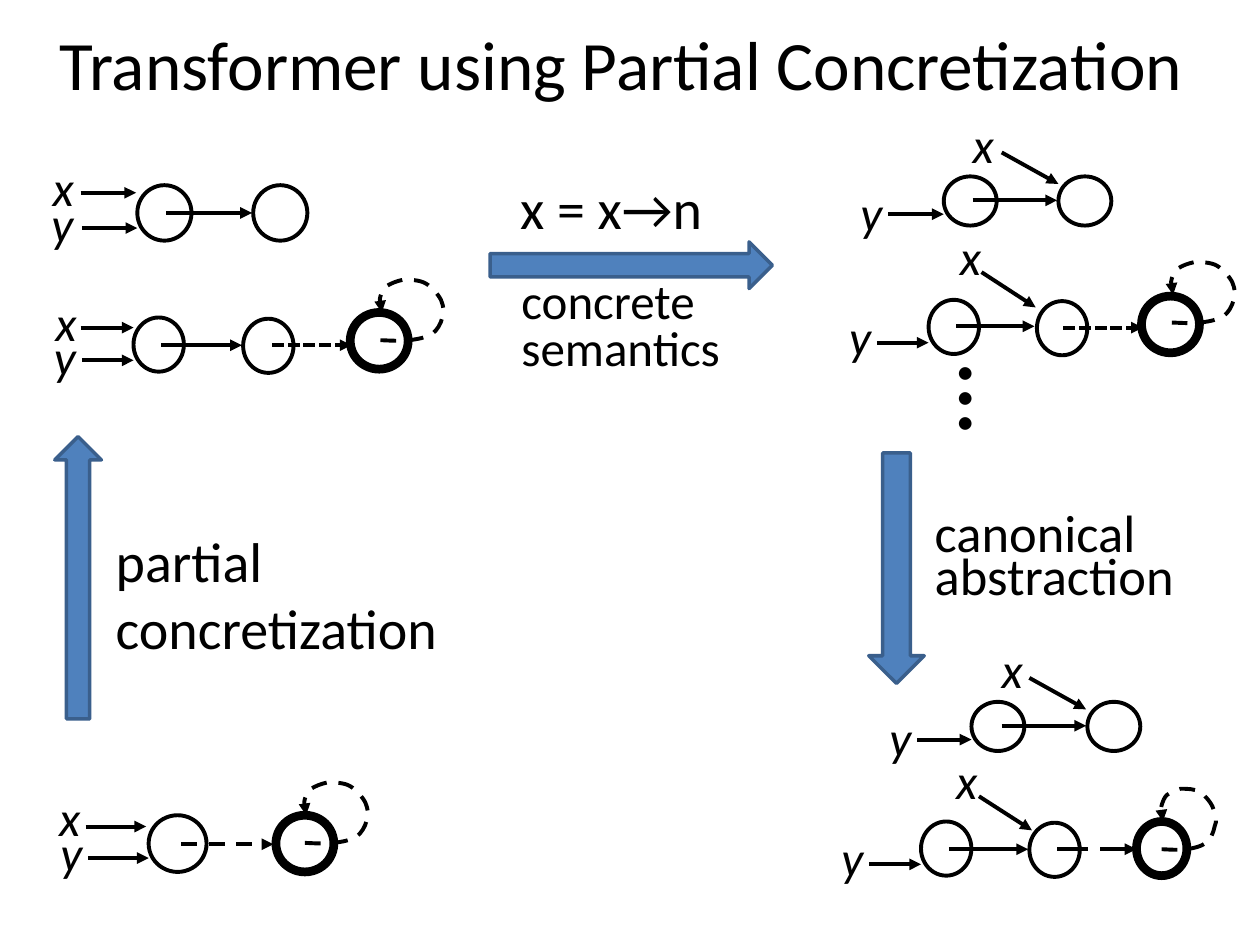
from lxml import etree
from pptx import Presentation
from pptx.dml.color import RGBColor
from pptx.enum.dml import MSO_LINE
from pptx.enum.shapes import MSO_CONNECTOR, MSO_SHAPE
from pptx.enum.text import MSO_ANCHOR, MSO_AUTO_SIZE, PP_ALIGN
from pptx.oxml.ns import qn
from pptx.util import Pt

PX = 9144  # EMU in one px, 100 px to the inch
TITLE_ONLY = 5
STRAIGHT = MSO_CONNECTOR.STRAIGHT
OVAL, BLOCK_ARROW = MSO_SHAPE.OVAL, MSO_SHAPE.RIGHT_ARROW
DASH, LONG_DASH, SHORT_DASH = MSO_LINE.DASH, MSO_LINE.LONG_DASH, MSO_LINE.SQUARE_DOT
GROW = MSO_AUTO_SIZE.SHAPE_TO_FIT_TEXT

THEME = {
    "font": "Calibri",
    "ink": RGBColor(0, 0, 0),
    "arrow_fill": RGBColor(0x4F, 0x81, 0xBD),
    "arrow_line": RGBColor(0x3A, 0x5F, 0x8C),
    "title": 39.6, "label": 32, "abstraction": 30, "small": 28, "dots": 60,
    "thin": 2.25, "thick": 5, "block": 2,
}


def style_line(shape, color=THEME["ink"], width=THEME["thin"], dash=None, arrow=False):
    """Format an outline, with a triangle at its end if arrow is set."""
    line = shape.line
    line.color.rgb = color
    line.width = Pt(width)
    if dash is not None:
        line.dash_style = dash
    if arrow:
        etree.SubElement(line._get_or_add_ln(), qn("a:tailEnd"), type="triangle")


def write_text(shape, lines, size, frame_format, paragraph_format, italic=False):
    """Fill a shape with one paragraph per line of text."""
    frame = shape.text_frame
    for name, value in frame_format.items():
        setattr(frame, name, value)
    for index, text in enumerate(lines):
        paragraph = frame.add_paragraph() if index else frame.paragraphs[0]
        paragraph.text = text
        for name, value in paragraph_format.items():
            setattr(paragraph, name, value)
        for run in paragraph.runs:
            font = run.font
            font.name, font.size, font.italic = THEME["font"], Pt(size), italic
            font.color.rgb = THEME["ink"]


presentation = Presentation()
presentation.slide_width, presentation.slide_height = 1000 * PX, 750 * PX
slide = presentation.slides.add_slide(presentation.slide_layouts[TITLE_ONLY])
shapes = slide.shapes

title = shapes.title
title.left, title.top, title.width, title.height = (v * PX for v in (18, 8, 950, 83))
write_text(title, ["Transformer using Partial Concretization"], THEME["title"],
           {"word_wrap": True, "vertical_anchor": MSO_ANCHOR.MIDDLE},
           {"alignment": PP_ALIGN.CENTER})

# Nodes by graph: left, top, width, height; summary nodes have a thick outline
nodes = [
    (109, 147, 43, 44), (201, 147, 43, 44),
    (106, 252, 40, 43), (193, 253, 40, 43),
    (118, 647, 46, 45),
    (749, 140, 42, 39), (840, 140, 42, 39),
    (737, 238, 40, 43), (823, 239, 40, 43),
    (771, 557, 42, 39), (863, 557, 42, 39),
    (731, 652, 40, 43), (817, 653, 40, 43),
]
summary_nodes = [(278, 248, 46, 45), (219, 647, 46, 45), (906, 235, 46, 45), (902, 652, 40, 43)]
for boxes, width in ((nodes, THEME["thin"]), (summary_nodes, THEME["thick"])):
    for box in boxes:
        node = shapes.add_shape(OVAL, *(v * PX for v in box))
        node.shadow.inherit = False
        node.fill.background()
        style_line(node, width=width)

# Edges by graph: start x, start y, end x, end y, dash
edges = [
    (132, 169, 200, 169, None), (65, 181, 109, 181, None), (64, 153, 108, 153, None),
    (128, 274, 192, 274, None), (65, 286, 106, 286, None), (64, 260, 106, 260, None),
    (216, 274, 279, 274, SHORT_DASH),
    (68, 656, 116, 656, None), (70, 681, 118, 681, None), (144, 670, 217, 670, DASH),
    (772, 159, 839, 159, None), (705, 170, 749, 170, None), (795, 121, 840, 146, None),
    (759, 259, 821, 259, None), (696, 272, 737, 272, None), (779, 216, 822, 244, None),
    (844, 260, 907, 260, SHORT_DASH),
    (795, 576, 862, 576, None), (728, 587, 771, 587, None), (817, 538, 862, 563, None),
    (753, 674, 816, 674, None), (690, 686, 731, 686, None), (777, 632, 819, 659, None),
    (839, 674, 902, 674, LONG_DASH),
]
for *ends, dash in edges:
    edge = shapes.add_connector(STRAIGHT, *(v * PX for v in ends))
    style_line(edge, dash=dash, arrow=True)
    etree.SubElement(edge._element.spPr, qn("a:effectLst"))

# Self loops: one curve of 51 by 49 px, given by its Bezier points
LOOP_WIDTH = 51
loop_start = (1, 48)
loop_points = [
    (4, 48), (17, 49), (24, 48), (31, 47), (37, 46), (42, 43),
    (46, 40), (49, 35), (50, 30), (52, 26), (51, 21), (49, 16),
    (47, 12), (42, 6), (37, 3), (32, 0), (24, 0), (19, 0),
    (14, 1), (9, 3), (6, 5), (3, 7), (2, 10), (1, 13),
    (0, 17), (2, 23), (2, 26),
]
for left, top, width in ((301, 222, 51), (241, 621, 51), (929, 208, 51), (921, 626, 44)):
    stretch = width / LOOP_WIDTH
    builder = shapes.build_freeform(round(loop_start[0] * stretch), loop_start[1], scale=PX)
    builder.add_line_segments([(round(x * stretch), y) for x, y in loop_points], close=False)
    loop = builder.convert_to_shape(left * PX, top * PX)
    segments = list(loop._element.iter(qn("a:lnTo")))
    for index in range(0, len(segments), 3):
        curve = etree.Element(qn("a:cubicBezTo"))
        segments[index].addprevious(curve)
        for segment in segments[index:index + 3]:
            curve.append(segment[0])
            segment.getparent().remove(segment)
    loop.shadow.inherit = False
    loop.fill.background()
    style_line(loop, dash=DASH, arrow=True)

# Block arrows between the steps: left, top, width, height, rotation
for *box, rotation in ((389, 192, 224, 37, 0), (-50, 440, 224, 37, 270), (620, 429, 183, 44, 90)):
    step = shapes.add_shape(BLOCK_ARROW, *(v * PX for v in box))
    step.rotation = rotation
    step.shadow.inherit = False
    step.fill.solid()
    step.fill.fore_color.rgb = THEME["arrow_fill"]
    style_line(step, color=THEME["arrow_line"], width=THEME["block"])

variables = {
    "x": [(32, 120), (34, 227), (37, 620), (762, 86), (752, 175), (785, 503), (749, 591)],
    "y": [(31, 149), (33, 254), (38, 648), (673, 140), (664, 238), (696, 557), (658, 652)],
}
for name, positions in variables.items():
    for left, top in positions:
        box = shapes.add_textbox(left * PX, top * PX, 39 * PX, 57 * PX)
        write_text(box, [name], THEME["small"], {"word_wrap": True, "auto_size": GROW}, {},
                   italic=True)

# Labels: box, lines, size, wrap, line spacing
labels = [
    ((403, 133, 216, 64), ["x = x→n"], THEME["label"], True, None),
    ((404, 219, 182, 86), ["concrete", "semantics"], THEME["small"], False, 0.8),
    ((82, 413, 278, 118), ["partial", "concretization"], THEME["label"], False, None),
    ((732, 407, 222, 83), ["canonical \vabstraction"], THEME["abstraction"], True, Pt(25)),
    ((746, 280, 41, 71), [".", ".", "."], THEME["dots"], False, 0.2),
]
for box, lines, size, wrap, spacing in labels:
    label = shapes.add_textbox(*(v * PX for v in box))
    write_text(label, lines, size, {"word_wrap": wrap, "auto_size": GROW},
               {"line_spacing": spacing})

presentation.save("out.pptx")
